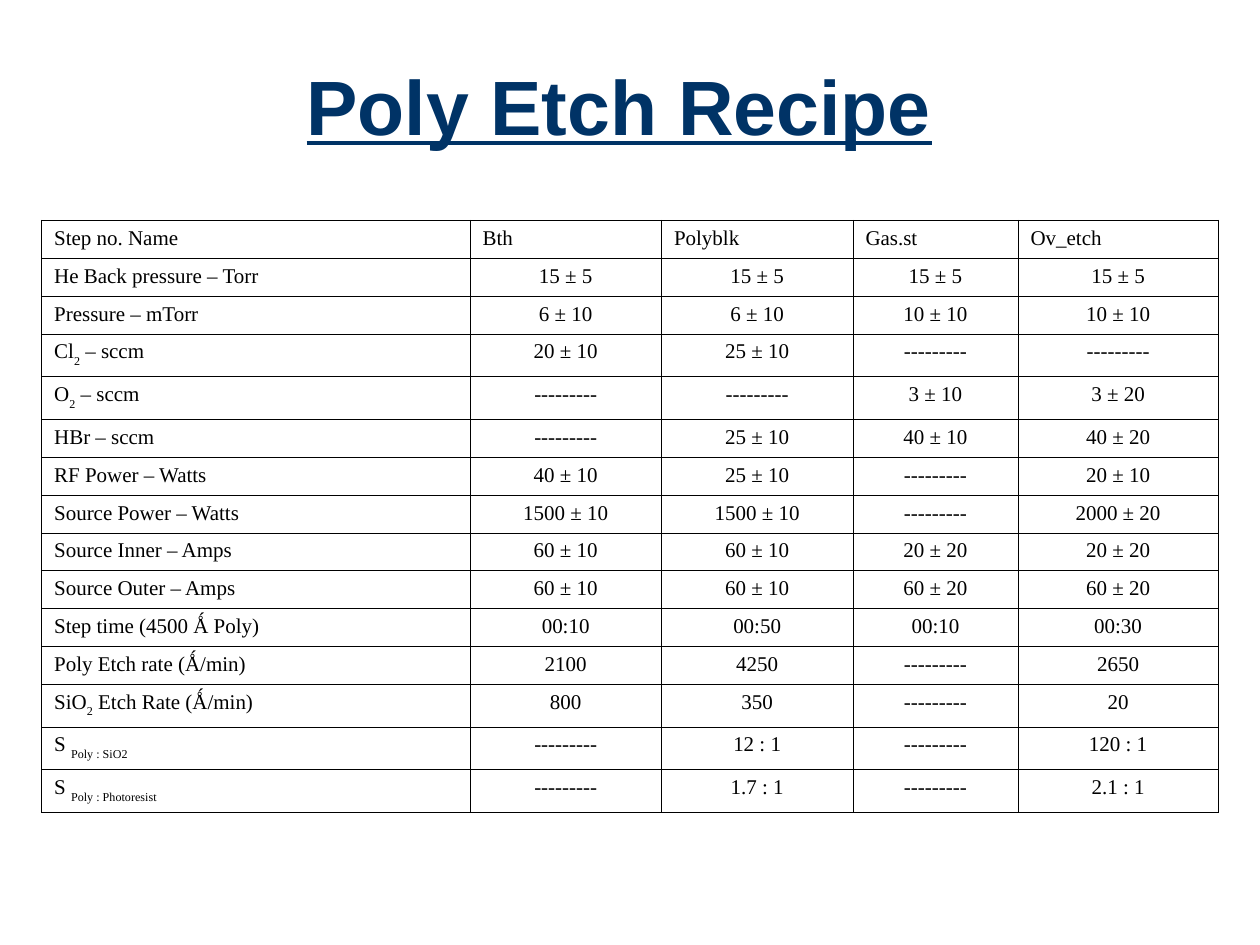
from pptx import Presentation
from pptx.dml.color import RGBColor
from pptx.enum.text import MSO_ANCHOR, PP_ALIGN
from pptx.oxml import parse_xml
from pptx.oxml.ns import nsdecls
from pptx.util import Inches, Pt

COLORS = {"navy": "003366", "black": "000000"}
TITLE = "Poly Etch Recipe"
NONE = "---------"
HEAD = ("Step no. Name", "Bth", "Polyblk", "Gas.st", "Ov_etch")
STEPS = [
    ("He Back pressure – Torr", "15 ± 5", "15 ± 5", "15 ± 5", "15 ± 5"),
    ("Pressure – mTorr", "6 ± 10", "6 ± 10", "10 ± 10", "10 ± 10"),
    ("Cl~2~ – sccm", "20 ± 10", "25 ± 10", NONE, NONE),
    ("O~2~ – sccm", NONE, NONE, "3 ± 10", "3 ± 20"),
    ("HBr – sccm", NONE, "25 ± 10", "40 ± 10", "40 ± 20"),
    ("RF Power – Watts", "40 ± 10", "25 ± 10", NONE, "20 ± 10"),
    ("Source Power – Watts", "1500 ± 10", "1500 ± 10", NONE, "2000 ± 20"),
    ("Source Inner – Amps", "60 ± 10", "60 ± 10", "20 ± 20", "20 ± 20"),
    ("Source Outer – Amps", "60 ± 10", "60 ± 10", "60 ± 20", "60 ± 20"),
    ("Step time (4500 Ǻ Poly)", "00:10", "00:50", "00:10", "00:30"),
    ("Poly Etch rate (Ǻ/min)", "2100", "4250", NONE, "2650"),
    ("SiO~2~ Etch Rate (Ǻ/min)", "800", "350", NONE, "20"),
    ("S ~Poly : SiO2", NONE, "12 : 1", NONE, "120 : 1"),
    ("S ~Poly : Photoresist", NONE, "1.7 : 1", NONE, "2.1 : 1"),
]
WIDTHS = (3.4, 1.52, 1.52, 1.31, 1.59)
ROW, TALL = 0.3, 0.34
INDENT = Inches(0.31)


def write(frame, text, font="Times New Roman", size=12, color="black",
          bold=False, under=False, align=PP_ALIGN.LEFT, hang=0, space=None):
    para = frame.paragraphs[0]
    para.alignment = align
    para.line_spacing = space
    props = para._p.get_or_add_pPr()
    props.set("marL", str(hang))
    props.set("indent", str(-hang))
    for n, part in enumerate(text.split("~")):
        run = para.add_run()
        run.text = part
        run.font.name = font
        run.font.size = Pt(size)
        run.font.bold = bold
        run.font.underline = under
        run.font.color.rgb = RGBColor.from_string(COLORS[color])
        if n % 2:
            run.font._element.set("baseline", "-30000")


def border(cell, top):
    props = cell._tc.get_or_add_tcPr()
    for side in "LRTB":
        width = Pt(top if side == "T" else 0.45)
        props.append(parse_xml(
            f'<a:ln{side} {nsdecls("a")} w="{width}"><a:solidFill>'
            f'<a:srgbClr val="{COLORS["black"]}"/></a:solidFill></a:ln{side}>'))


deck = Presentation()
deck.slide_width, deck.slide_height = Inches(10), Inches(7.5)
slide = deck.slides.add_slide(deck.slide_layouts[5])

title = slide.shapes.title
title.left, title.top = Inches(0.25), Inches(0.25)
title.width, title.height = Inches(9.33), Inches(1.25)
title.text_frame.vertical_anchor = MSO_ANCHOR.MIDDLE
write(title.text_frame, TITLE, font="Arial", size=44, color="navy",
      bold=True, under=True, align=PP_ALIGN.CENTER, space=0.9)

rows = [HEAD] + STEPS
highs = [TALL if "~" in row[0] else ROW for row in rows]
table = slide.shapes.add_table(
    len(rows), len(HEAD), Inches(0.33), Inches(1.75),
    Inches(sum(WIDTHS)), Inches(sum(highs))).table
table.first_row = table.horz_banding = False
for col, width in zip(table.columns, WIDTHS):
    col.width = Inches(width)
for r, row in enumerate(rows):
    table.rows[r].height = Inches(highs[r])
    for c, text in enumerate(row):
        cell = table.cell(r, c)
        border(cell, 0.45 if r else 0.96)
        cell.fill.background()
        write(cell.text_frame, text, hang=INDENT,
              align=PP_ALIGN.CENTER if r and c else PP_ALIGN.LEFT)

deck.save("out.pptx")
